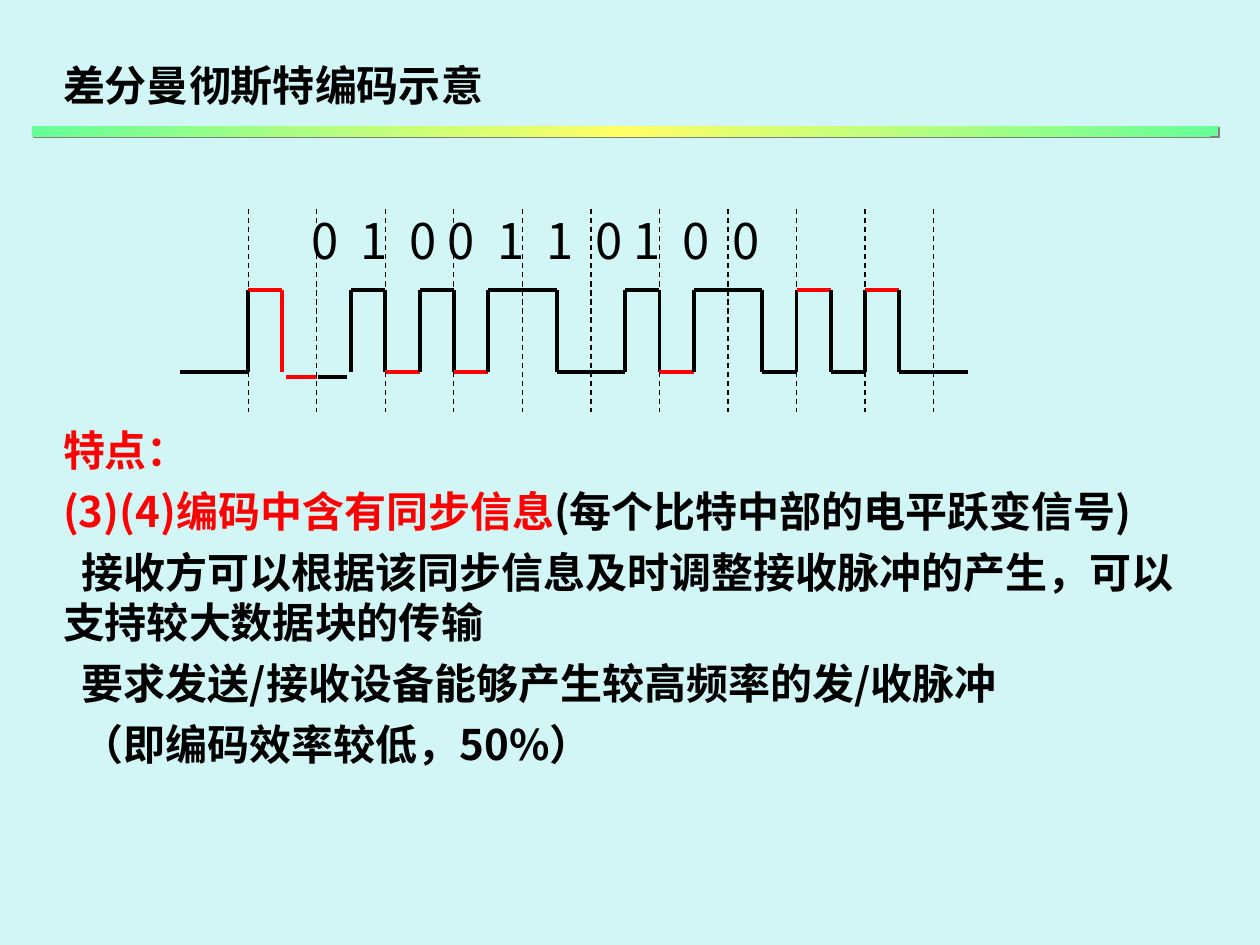
from itertools import accumulate, groupby

from lxml import etree
from pptx import Presentation
from pptx.dml.color import RGBColor
from pptx.enum.dml import MSO_LINE
from pptx.enum.shapes import MSO_CONNECTOR, MSO_SHAPE
from pptx.enum.text import MSO_ANCHOR, MSO_AUTO_SIZE, PP_ALIGN
from pptx.oxml import parse_xml
from pptx.oxml.ns import nsdecls, qn
from pptx.util import Inches, Pt

BLACK = RGBColor(0x00, 0x00, 0x00)
RED = RGBColor(0xFF, 0x00, 0x00)
GREEN = RGBColor(0x66, 0xFF, 0x99)
YELLOW = RGBColor(0xFF, 0xFF, 0x66)
GREY = RGBColor(0x80, 0x80, 0x80)
BACKGROUND = RGBColor(0xD2, 0xF6, 0xF5)

UNIT = 0.1  # the slide is a grid of 100 columns by 75 rows
BITS = "0100110100"
BIT_SPACES = (5, 2, 2, 1, 2, 2, 2, 1, 2, 2)  # spaces before each digit
DIGIT_WIDTH, SPACE_WIDTH = 2.15, 0.88

# One letter per half bit; see LEVELS for their heights and colours.
WAVE = "LL" "hdDHlHlHHLLHlHHLhLhL" "L"
BIT_START, HALF_BIT = 19.7, 2.72
HIGH, LOW, DIPPED = 23, 29.5, 29.9
LEVELS = {  # letter: row, colour, gap at left, gap at right
    "H": (HIGH, BLACK, 0, 0),
    "h": (HIGH, RED, 0, 0),
    "L": (LOW, BLACK, 0, 0),
    "l": (LOW, RED, 0, 0),
    "D": (DIPPED, BLACK, 0.1, 0.3),
    "d": (DIPPED, RED, 0.3, 0),
}

FEATURES = [  # indent in columns, then (text, colour) runs
    (0, [("特点：", RED)]),
    (0, [("(3)(4)编码中含有同步信息", RED), ("(每个比特中部的电平跃变信号)", BLACK)]),
    (1.5, [("接收方可以根据该同步信息及时调整接收脉冲的产生，可以支持较大数据块的传输", BLACK)]),
    (1.5, [("要求发送/接收设备能够产生较高频率的发/收脉冲", BLACK)]),
    (1.5, [("（即编码效率较低，50%）", BLACK)]),
]


def grid(n):
    return Inches(n * UNIT)


class Canvas:
    font = "Noto Sans CJK SC"

    def __init__(self, slide):
        self.s = slide
        fill = slide.background.fill
        fill.solid()
        fill.fore_color.rgb = BACKGROUND

    def place(self, sp, x, y, w, h):
        sp.left, sp.top, sp.width, sp.height = map(grid, (x, y, w, h))
        tf = sp.text_frame
        tf.word_wrap = True
        tf.auto_size = MSO_AUTO_SIZE.NONE
        tf.vertical_anchor = MSO_ANCHOR.TOP
        return tf

    def style(self, r, size, color, bold=False):
        r.font.size, r.font.bold, r.font.name = Pt(size), bold, self.font
        r.font.color.rgb = color
        ea = etree.SubElement(r.font._element, qn("a:ea"))
        ea.set("typeface", self.font)

    def title(self, text, *box):
        p = self.place(self.s.shapes.title, *box).paragraphs[0]
        p.text = text
        p.alignment = PP_ALIGN.LEFT
        self.style(p.runs[0], 24, BLACK, True)

    def body(self, items, *box):
        tf = self.place(self.s.placeholders[1], *box)
        for i, (indent, runs) in enumerate(items):
            p = tf.add_paragraph() if i else tf.paragraphs[0]
            pPr = p._p.get_or_add_pPr()
            pPr.set("marL", "0")
            pPr.set("indent", str(grid(indent)))
            etree.SubElement(pPr, qn("a:buNone"))
            p.space_before = Pt(6 if i else 0)
            for text, color in runs:
                r = p.add_run()
                r.text = text
                self.style(r, 24, color, True)

    def tabbed(self, items, stops, *box):
        """Write the items in one line, each centred on its tab stop."""
        p = self.place(self.s.shapes.add_textbox(0, 0, 0, 0), *box).paragraphs[0]
        tabs = etree.SubElement(p._p.get_or_add_pPr(), qn("a:tabLst"))
        for stop in stops:
            etree.SubElement(tabs, qn("a:tab"), pos=str(grid(stop)), algn="ctr")
        r = p.add_run()
        r.text = "".join("\t" + item for item in items)
        self.style(r, 28, BLACK)

    def line(self, x1, y1, x2, y2, color=BLACK, width=2.25, dash=None):
        c = self.s.shapes.add_connector(
            MSO_CONNECTOR.STRAIGHT, *map(grid, (x1, y1, x2, y2)))
        c.line.color.rgb, c.line.width = color, Pt(width)
        if dash:
            c.line.dash_style = dash
        etree.SubElement(c._element.spPr, qn("a:effectLst"))

    def gradient_bar(self, colors, *box):
        sp = self.s.shapes.add_shape(MSO_SHAPE.RECTANGLE, *map(grid, box))
        step = 100000 // (len(colors) - 1)
        stops = "".join(
            f'<a:gs pos="{i * step}"><a:srgbClr val="{c}"/></a:gs>'
            for i, c in enumerate(colors))
        spPr = sp._element.spPr
        spPr.append(parse_xml(
            f'<a:gradFill {nsdecls("a")}><a:gsLst>{stops}</a:gsLst>'
            '<a:lin ang="2700000" scaled="1"/></a:gradFill>'))
        sp.line.fill.background()
        spPr.append(parse_xml(
            f'<a:effectLst {nsdecls("a")}><a:outerShdw dist="{Pt(1.4)}" '
            f'dir="2700000"><a:srgbClr val="{GREY}"/></a:outerShdw></a:effectLst>'))

    def waveform(self, wave, x):
        was_high = None
        for letter, halves in groupby(wave):
            y, color, left, right = LEVELS[letter]
            end = x + HALF_BIT * len(list(halves))
            is_high = y == HIGH
            if was_high not in (None, is_high):
                self.line(x, HIGH, x, LOW, RED if letter == "d" else BLACK)
            self.line(x + left, y, end - right, y, color)
            x, was_high = end, is_high


def main():
    prs = Presentation()
    prs.slide_width, prs.slide_height = grid(100), grid(75)
    canvas = Canvas(prs.slides.add_slide(prs.slide_layouts[1]))

    canvas.title("差分曼彻斯特编码示意", 4, 4.2, 91.8, 5)
    canvas.gradient_bar((GREEN, YELLOW, GREEN), 2.5, 10, 94.2, 0.8)

    canvas.waveform(WAVE, BIT_START - 2 * HALF_BIT)
    for bit in range(len(BITS) + 1):
        x = BIT_START + 2 * HALF_BIT * bit
        canvas.line(x, 16.6, x, 32.7, width=0.75, dash=MSO_LINE.DASH)
    ends = accumulate(n * SPACE_WIDTH + DIGIT_WIDTH for n in BIT_SPACES)
    canvas.tabbed(BITS, [end - DIGIT_WIDTH / 2 for end in ends],
                  19.3, 16.2, 44.9, 5.6)

    canvas.body(FEATURES, 4, 33.2, 91.8, 36.4)
    prs.save("out.pptx")


if __name__ == "__main__":
    main()
